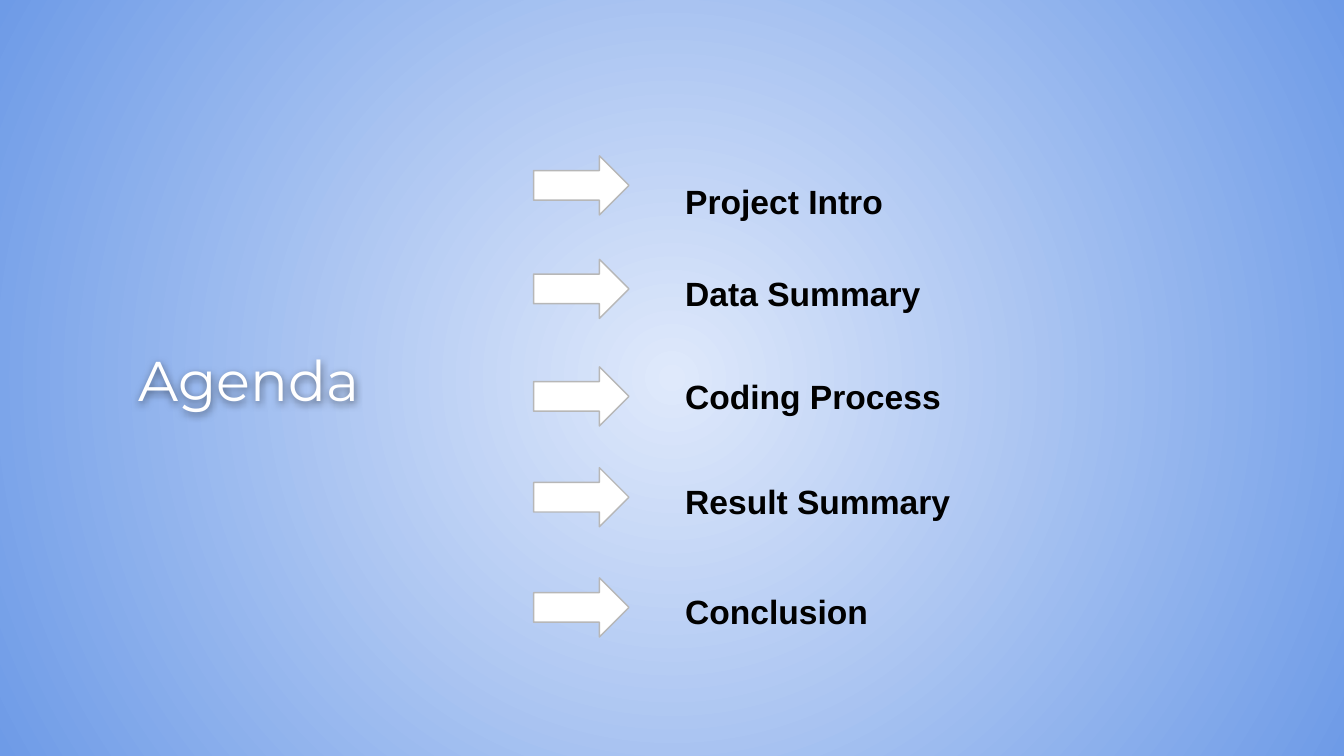
from lxml import etree
from pptx import Presentation
from pptx.dml.color import RGBColor
from pptx.enum.shapes import MSO_SHAPE
from pptx.enum.text import MSO_ANCHOR
from pptx.oxml import parse_xml
from pptx.oxml.ns import nsdecls, qn
from pptx.util import Inches, Pt

RIGHT_ARROW = MSO_SHAPE.RIGHT_ARROW
TOP, MIDDLE = MSO_ANCHOR.TOP, MSO_ANCHOR.MIDDLE

WHITE = RGBColor(0xFF, 0xFF, 0xFF)
BLACK = RGBColor(0x00, 0x00, 0x00)
GREY = RGBColor(0xB7, 0xB7, 0xB7)
PALE_BLUE = RGBColor(0xDF, 0xE9, 0xFB)
MID_BLUE = RGBColor(0x6E, 0x9B, 0xE7)

# Content: agenda item, top of its arrow, top of its text
TITLE = "Agenda"
AGENDA = [
    ("Project Intro", 1.16, 1.25),
    ("Data Summary", 1.93, 1.93),
    ("Coding Process", 2.73, 2.7),
    ("Result Summary", 3.48, 3.48),
    ("Conclusion", 4.3, 4.3),
]
SLIDE_WIDTH = Inches(10)
SLIDE_HEIGHT = SLIDE_WIDTH * 9 // 16
TITLE_AREA = (1.03, 1, 2.39, 3.64)
ARROW_LEFT, ARROW_WIDTH = 3.97, 0.71
ITEM_LEFT, ITEM_WIDTH = 5, 3
ROW_HEIGHT = 0.44

TITLE_FONT = {"name": "Montserrat", "size": Pt(30), "bold": False}
ITEM_FONT = {"name": "Arial", "size": Pt(18), "bold": True}


def add_text(page, text, area, font, color, anchor=TOP, inset=0.1):
    box = page.shapes.add_textbox(*map(Inches, area))
    frame = box.text_frame
    frame.word_wrap = True
    frame.vertical_anchor = anchor
    for side in ("left", "top", "right", "bottom"):
        setattr(frame, f"margin_{side}", Inches(inset))
    span = frame.paragraphs[0].add_run()
    span.text = text
    for key, value in font.items():
        setattr(span.font, key, value)
    span.font.color.rgb = color
    return box


def add_arrow(page, top):
    area = (ARROW_LEFT, top, ARROW_WIDTH, ROW_HEIGHT)
    arrow = page.shapes.add_shape(RIGHT_ARROW, *map(Inches, area))
    arrow.shadow.inherit = False
    arrow.fill.solid()
    arrow.fill.fore_color.rgb = WHITE
    arrow.line.color.rgb = GREY
    arrow.line.width = Pt(0.75)


def set_radial_background(page, colors):
    fill = page.background.fill
    fill.gradient()
    for stop, color in zip(fill.gradient_stops, colors):
        stop.color.rgb = color
    gradient = page.element.find(".//" + qn("a:gradFill"))
    gradient.remove(gradient.find(qn("a:lin")))
    circle = etree.SubElement(gradient, qn("a:path"), path="circle")
    etree.SubElement(circle, qn("a:fillToRect"),
                     {side: "50000" for side in "ltrb"})


def add_soft_shadow(box):
    box.element.spPr.append(parse_xml(
        f'<a:effectLst {nsdecls("a")}>'
        '<a:outerShdw blurRad="57150" dist="19050" dir="5400000">'
        '<a:srgbClr val="000000"><a:alpha val="50000"/></a:srgbClr>'
        '</a:outerShdw></a:effectLst>'))


def main():
    deck = Presentation()
    deck.slide_width, deck.slide_height = SLIDE_WIDTH, SLIDE_HEIGHT
    page = deck.slides.add_slide(deck.slide_layouts[6])
    set_radial_background(page, (PALE_BLUE, MID_BLUE))

    # Title on the left
    title = add_text(page, TITLE, TITLE_AREA, TITLE_FONT, WHITE, MIDDLE, 0)
    add_soft_shadow(title)

    # One arrow and label per agenda item
    for label, arrow_top, text_top in AGENDA:
        add_arrow(page, arrow_top)
        add_text(page, label, (ITEM_LEFT, text_top, ITEM_WIDTH, ROW_HEIGHT),
                 ITEM_FONT, BLACK)

    deck.save("out.pptx")


if __name__ == "__main__":
    main()
